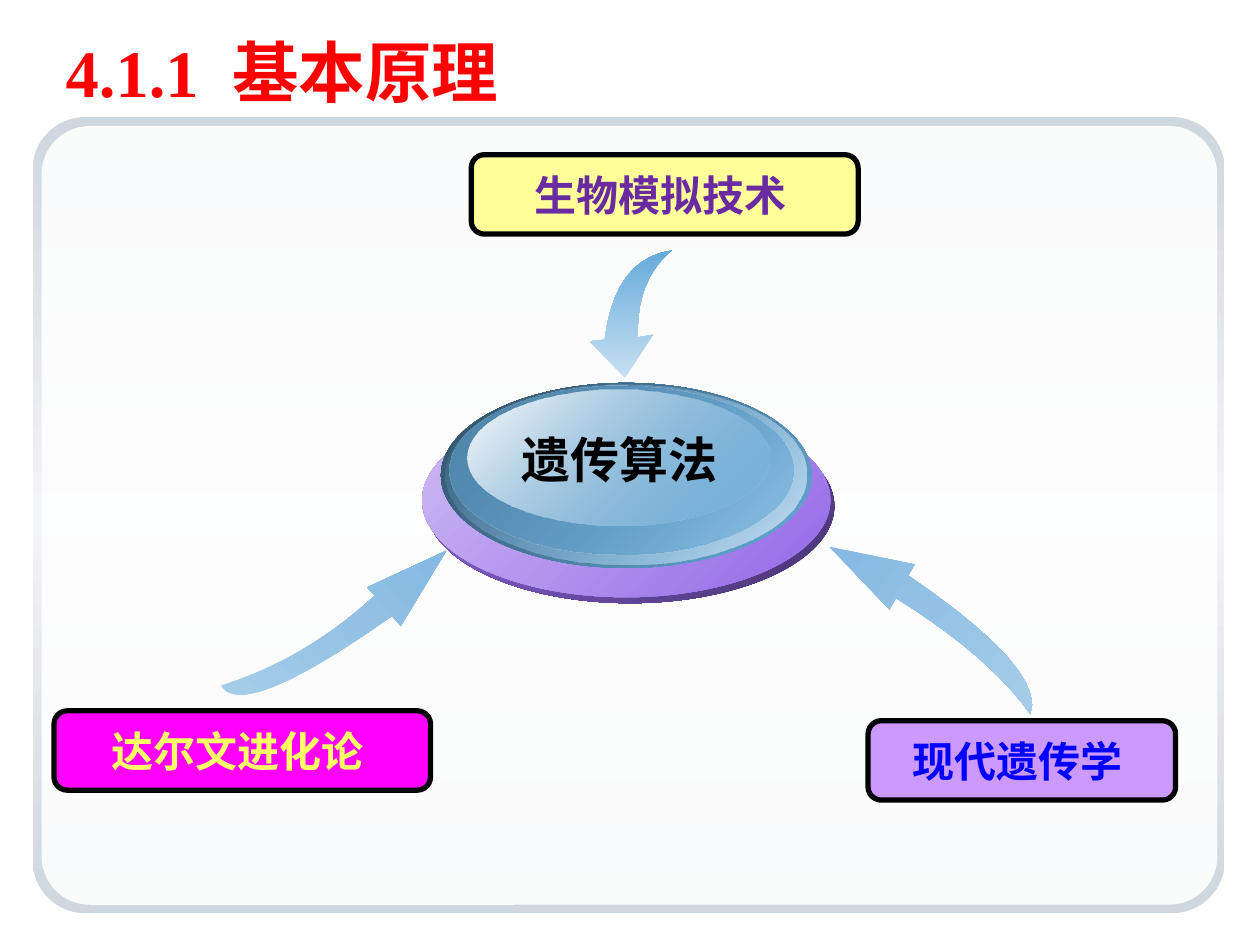
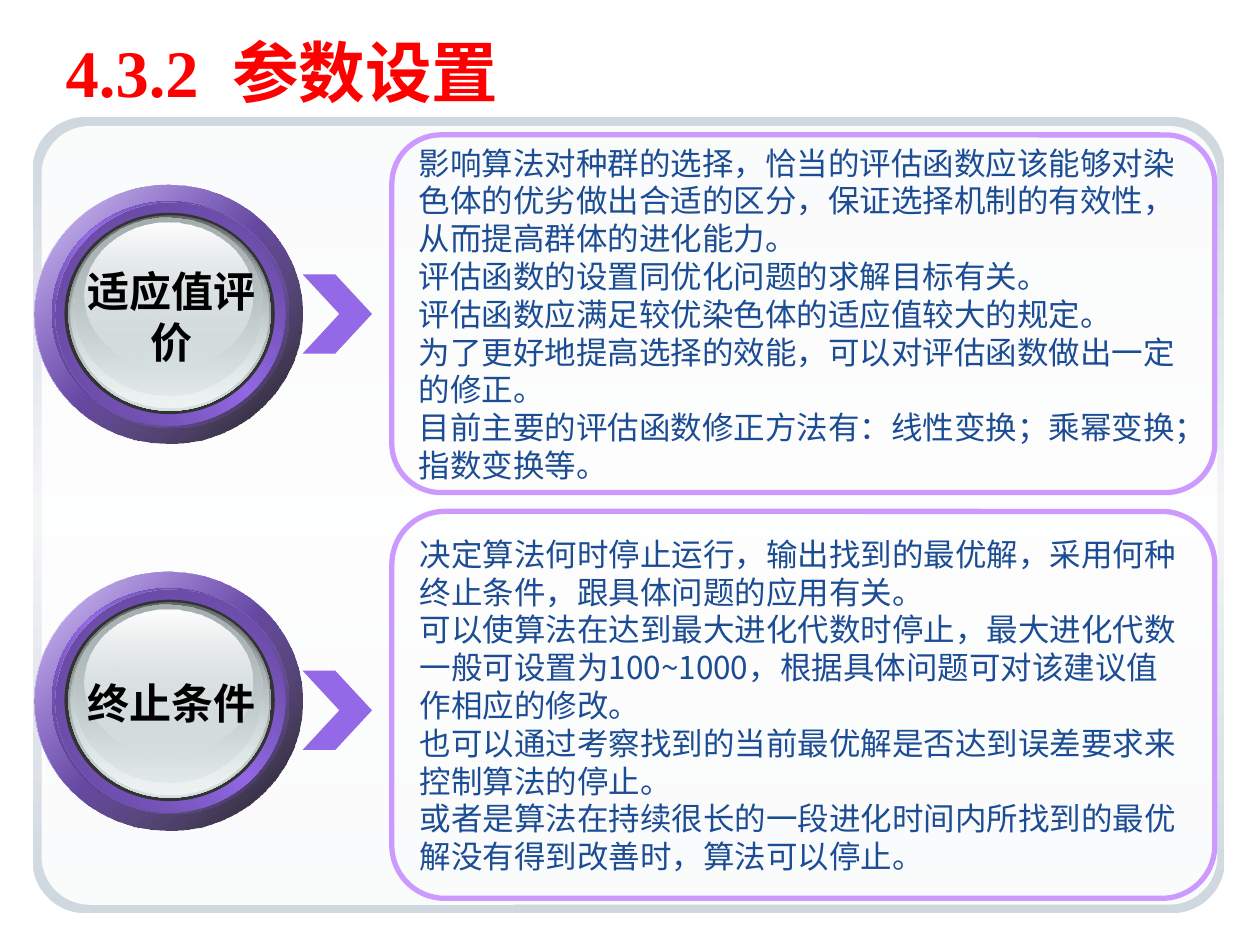
import pptx
import pptx.dml.color
import pptx.enum.shapes
import pptx.enum.text
import pptx.oxml
import pptx.oxml.ns
import pptx.util
from lxml import etree

Cm = pptx.util.Cm
Pt = pptx.util.Pt
RGB = pptx.dml.color.RGBColor
SHAPE = pptx.enum.shapes.MSO_SHAPE
ALIGN = pptx.enum.text.PP_ALIGN
ANCHOR = pptx.enum.text.MSO_ANCHOR
qn = pptx.oxml.ns.qn

WHITE = RGB(0xFF, 0xFF, 0xFF)
BLACK = RGB(0x00, 0x00, 0x00)
RED = RGB(0xFF, 0x00, 0x00)
BLUE = RGB(0x00, 0x00, 0xFF)
NAVY = RGB(0x1C, 0x4D, 0x94)
MAGENTA = RGB(0xFF, 0x00, 0xFF)
LEMON = RGB(0xFF, 0xFF, 0x66)
CREAM = RGB(0xFF, 0xFF, 0x99)
LILAC = RGB(0xCC, 0x99, 0xFF)
PLUM = RGB(0x69, 0x2A, 0xA2)
FRAME_EDGE = RGB(0xCF, 0xD7, 0xDF)
FRAME_MIDDLE = RGB(0xF3, 0xF5, 0xF7)
VIOLET = RGB(0x93, 0x69, 0xE7)
VIOLET_PALE = RGB(0xCE, 0xBB, 0xF3)
VIOLET_DEEP = RGB(0x47, 0x32, 0x6F)
VIOLET_DARK = RGB(0x4F, 0x38, 0x7C)
VIOLET_SHADE = RGB(0x5D, 0x42, 0x92)
SKY = RGB(0x66, 0xAB, 0xDA)
SKY_DARK = RGB(0x2F, 0x4E, 0x64)
SKY_SHADE = RGB(0x50, 0x86, 0xAC)
SKY_PALE = RGB(0xC8, 0xE0, 0xF1)
ARROW_HEAD = RGB(0x85, 0xB9, 0xE1)
ARROW_TAIL = RGB(0xA5, 0xCD, 0xE9)
GLOSS = RGB(0xFE, 0xFE, 0xFE)
CHARCOAL = RGB(0x33, 0x33, 0x33)
STEEL = RGB(0x62, 0x67, 0x68)
SILVER_DARK = RGB(0xA8, 0xB1, 0xB2)
SILVER = RGB(0xD6, 0xE1, 0xE2)
SILVER_PALE = RGB(0xEF, 0xF3, 0xF3)

CJK_FONT = "Noto Sans CJK SC"
TITLE_FORMAT = {"name": "Times New Roman", "size": Pt(38), "bold": True}
HUB_FORMAT = {"name": CJK_FONT, "size": Pt(28), "bold": True}
ORB_FORMAT = {"name": CJK_FONT, "size": Pt(24), "bold": True}
LABEL_FORMAT = {"name": "Arial", "size": Pt(24), "bold": True}
BODY_FORMAT = {"name": CJK_FONT, "size": Pt(18), "bold": False}

# Layers: left, top, width, height in cm, angle, then stops (position, colour, opacity)
FRAME_LAYERS = [
    (0, 0, 24.03, 16.05, 90,
     [(0, FRAME_EDGE, 100), (50, FRAME_MIDDLE, 100), (100, FRAME_EDGE, 100)]),
    (0.18, 0.18, 23.7, 15.7, 0, [(0, WHITE, 90)]),
]
HUB_LAYERS = [
    (0.08, 0.53, 8.23, 3.91, 225, [(0, VIOLET_DEEP, 100), (100, VIOLET, 100)]),
    (0, 0.41, 8.23, 3.91, 225, [(0, VIOLET, 100), (100, VIOLET_PALE, 100)]),
    (0.38, 0, 7.47, 3.73, 225, [(0, SKY, 100), (100, SKY_DARK, 100)]),
    (0.48, 0.03, 7.26, 3.63, 225, [(0, SKY_PALE, 100), (100, SKY, 0)]),
    (0.56, 0.05, 6.93, 3.4, 225, [(0, SKY, 48), (100, SKY_SHADE, 100)]),
    (0.91, 0.13, 6.1, 2.74, 225, [(0, SKY, 38), (100, GLOSS, 100)]),
]
ORB_LAYERS = [
    (0, 0, 5.41, 5.21, 225, [(0, GLOSS, 100), (50, VIOLET, 100), (100, GLOSS, 100)]),
    (0, 0, 5.41, 5.21, 225, [(0, BLACK, 90), (100, VIOLET, 32)]),
    (0.36, 0.33, 4.7, 4.52, 135,
     [(0, VIOLET_DARK, 100), (50, VIOLET, 100), (100, VIOLET_DARK, 100)]),
    (0.43, 0.36, 4.7, 4.52, 225, [(0, VIOLET, 0), (100, VIOLET_SHADE, 100)]),
    (0.61, 0.56, 4.24, 4.06, 0, [(0, CHARCOAL, 100)]),
    (0.69, 0.61, 4.09, 3.94, 90, [(0, STEEL, 100), (100, SILVER, 100)]),
    (0.74, 0.64, 3.99, 3.84, 90, [(0, SILVER, 0), (100, SILVER_PALE, 100)]),
    (0.79, 0.66, 3.81, 3.58, 90, [(0, SILVER_DARK, 100), (100, SILVER, 48)]),
    (1.02, 0.76, 3.38, 2.92, 90, [(0, GLOSS, 100), (100, SILVER, 38)]),
]

# Labels: left, top, width in cm, text, fill, text colour
LABELS = [
    (1.09, 14.33, 7.59, "达尔文进化论", MAGENTA, LEMON),
    (17.5, 14.53, 6.2, "现代遗传学", LILAC, BLUE),
    (9.5, 3.12, 7.8, "生物模拟技术", CREAM, PLUM),
]
# Arrows: left, top, angle, (start, end) colours, then points in cm: tail, outer control,
# outer neck, outer barb, tip, inner barb, inner neck, inner control
ARROWS = [
    (16.71, 11.02, 40, (ARROW_HEAD, ARROW_TAIL),
     [(4.06, 3.38), (4.39, 2.49), (1.6, 0.58), (1.73, 0.36),
      (0, 0), (1.22, 1.27), (1.35, 1.04), (3.24, 2.21)]),
    (11.89, 5.05, 270, (SKY_PALE, SKY),
     [(1.65, 0), (0.5, 0.17), (0.3, 1.8), (0, 1.83),
      (0.71, 2.57), (1.27, 1.7), (0.97, 1.75), (0.93, 0.6)]),
    (4.45, 11.1, 320, (ARROW_TAIL, ARROW_HEAD),
     [(0, 2.72), (0.41, 3.47), (3.45, 1.32), (3.63, 1.52),
      (4.55, 0), (2.95, 0.74), (3.1, 0.91), (1.7, 2.2)]),
]
# Settings: orb top, chevron top, panel top, panel height in cm, name, paragraphs
SETTINGS = [
    (3.73, 5.53, 2.72, 7.21, "适应值评价", [
        "影响算法对种群的选择，恰当的评估函数应该能够对染色体的优劣做出合适的区分，"
        "保证选择机制的有效性，从而提高群体的进化能力。",
        "评估函数的设置同优化问题的求解目标有关。",
        "评估函数应满足较优染色体的适应值较大的规定。",
        "为了更好地提高选择的效能，可以对评估函数做出一定的修正。",
        "目前主要的评估函数修正方法有：线性变换；乘幂变换；指数变换等。",
    ]),
    (11.53, 13.52, 10.31, 7.8, "终止条件", [
        "决定算法何时停止运行，输出找到的最优解，采用何种终止条件，"
        "跟具体问题的应用有关。",
        "可以使算法在达到最大进化代数时停止，最大进化代数一般可设置为100~1000，"
        "根据具体问题可对该建议值作相应的修改。",
        "也可以通过考察找到的当前最优解是否达到误差要求来控制算法的停止。",
        "或者是算法在持续很长的一段进化时间内所找到的最优解没有得到改善时，算法可以停止。",
    ]),
]


def paint(shape, stops, angle=0):
    """Fill with one colour or a linear gradient, without line or shadow."""
    shape.shadow.inherit = False
    shape.line.fill.background()
    if len(stops) == 1:
        position, colour, opacity = stops[0]
        shape.fill.solid()
        shape.fill.fore_color.rgb = colour
        element = shape._element.spPr.find(".//" + qn("a:srgbClr"))
        etree.SubElement(element, qn("a:alpha"), val=str(opacity * 1000))
        return
    shape.fill.gradient()
    gradient = shape._element.spPr.find(qn("a:gradFill"))
    stop_list = gradient.find(qn("a:gsLst"))
    for stop in list(stop_list):
        stop_list.remove(stop)
    for position, colour, opacity in stops:
        stop = etree.SubElement(stop_list, qn("a:gs"), pos=str(position * 1000))
        element = etree.SubElement(stop, qn("a:srgbClr"), val=str(colour))
        etree.SubElement(element, qn("a:alpha"), val=str(opacity * 1000))
    gradient.find(qn("a:lin")).set("ang", str(angle * 60000))


def add_preset(slide, kind, left, top, width, height):
    return slide.shapes.add_shape(kind, Cm(left), Cm(top), Cm(width), Cm(height))


def add_layers(slide, kind, left, top, layers):
    shapes = []
    for x, y, width, height, angle, stops in layers:
        shape = add_preset(slide, kind, left + x, top + y, width, height)
        paint(shape, stops, angle)
        shapes.append(shape)
    return shapes


def add_run(paragraph, text, font_format, colour):
    run = paragraph.add_run()
    run.text = text
    for name, value in font_format.items():
        setattr(run.font, name, value)
    run.font.color.rgb = colour
    properties = run._r.get_or_add_rPr()
    latin = properties.find(qn("a:latin"))
    latin.addnext(properties.makeelement(qn("a:ea"), {"typeface": CJK_FONT}))
    return run


def write(frame, texts, font_format, colour, alignment):
    frame.vertical_anchor = ANCHOR.MIDDLE
    for index, text in enumerate(texts):
        paragraph = frame.add_paragraph() if index else frame.paragraphs[0]
        paragraph.alignment = alignment
        add_run(paragraph, text, font_format, colour)


def add_caption(slide, left, top, width, height, text, font_format):
    box = slide.shapes.add_textbox(Cm(left), Cm(top), Cm(width), Cm(height))
    box.text_frame.word_wrap = False
    write(box.text_frame, [text], font_format, BLACK, ALIGN.CENTER)


def add_framed_slide(presentation, number, name):
    """Add a slide with the rounded frame and a red numbered title."""
    slide = presentation.slides.add_slide(presentation.slide_layouts[5])
    frames = add_layers(slide, SHAPE.ROUNDED_RECTANGLE, 0.66, 2.36, FRAME_LAYERS)
    for shape, rounding in zip(frames, (0.066, 0.062)):
        shape.adjustments[0] = rounding
    title = slide.shapes.title
    box = {"left": Cm(1.07), "top": Cm(0.64), "width": Cm(23.7), "height": Cm(1.57)}
    for side, value in box.items():
        setattr(title, side, value)
    title.text_frame.vertical_anchor = ANCHOR.MIDDLE
    paragraph = title.text_frame.paragraphs[0]
    paragraph.alignment = ALIGN.LEFT
    add_run(paragraph, number, TITLE_FORMAT, RED)
    gap = add_run(paragraph, " ", TITLE_FORMAT, RED)
    gap._r.get_or_add_rPr().set("spc", "950")
    add_run(paragraph, name, TITLE_FORMAT, RED)
    return slide


def add_hub(slide, left, top, text):
    add_layers(slide, SHAPE.OVAL, left, top, HUB_LAYERS)
    add_caption(slide, left + 1.71, top + 0.81, 4.55, 1.45, text, HUB_FORMAT)


def add_label(slide, left, top, width, text, fill, colour):
    label = add_preset(slide, SHAPE.ROUNDED_RECTANGLE, left, top, width, 1.6)
    paint(label, [(0, fill, 100)])
    label.line.color.rgb = BLACK
    label.line.width = Pt(3)
    label.text_frame.margin_right = Cm(0.43)
    write(label.text_frame, [text], LABEL_FORMAT, colour, ALIGN.CENTER)


def curve(start, control, end, steps=10):
    """Points of a quadratic curve from start to end."""
    ratios = [step / steps for step in range(steps + 1)]
    return [tuple((1 - t) ** 2 * a + 2 * t * (1 - t) * b + t * t * c
                  for a, b, c in zip(start, control, end)) for t in ratios]


def add_curved_arrow(slide, left, top, angle, colours, points):
    tail, outer, outer_neck, outer_barb, tip, inner_barb, inner_neck, inner = points
    outline = (curve(tail, outer, outer_neck) + [outer_barb, tip, inner_barb]
               + curve(inner_neck, inner, tail))
    vertices = [(Cm(left + x), Cm(top + y)) for x, y in outline]
    builder = slide.shapes.build_freeform(*vertices[0])
    builder.add_line_segments(vertices[1:], close=True)
    start, end = colours
    paint(builder.convert_to_shape(), [(0, start, 100), (100, end, 100)], angle)


def add_orb(slide, left, top, text):
    add_layers(slide, SHAPE.OVAL, left, top, ORB_LAYERS)
    add_caption(slide, left + 0.41, top + 2.01, 4.72, 1.27, text, ORB_FORMAT)


def add_setting(slide, orb_top, chevron_top, panel_top, panel_height, name, texts):
    """Add an orb, a chevron and the panel they point to."""
    chevron = add_preset(slide, SHAPE.CHEVRON, 6.1, chevron_top, 1.4, 1.6)
    chevron.adjustments[0] = 0.53
    paint(chevron, [(0, VIOLET, 100)])
    add_orb(slide, 0.69, orb_top, name)
    panel = add_preset(slide, SHAPE.ROUNDED_RECTANGLE, 7.9, panel_top, 16.59, panel_height)
    panel.adjustments[0] = 0.137
    panel.shadow.inherit = False
    panel.fill.background()
    panel.line.color.rgb = LILAC
    panel.line.width = Pt(3)
    write(panel.text_frame, texts, BODY_FORMAT, NAVY, ALIGN.LEFT)


def build_principle_slide(presentation):
    slide = add_framed_slide(presentation, "4.1.1", "基本原理")
    add_hub(slide, 8.51, 7.72, "遗传算法")
    for label in LABELS:
        add_label(slide, *label)
    for arrow in ARROWS:
        add_curved_arrow(slide, *arrow)


def build_settings_slide(presentation):
    slide = add_framed_slide(presentation, "4.3.2", "参数设置")
    for setting in SETTINGS:
        add_setting(slide, *setting)


def main():
    presentation = pptx.Presentation()
    presentation.slide_width = Cm(25.4)
    presentation.slide_height = Cm(19.05)
    build_principle_slide(presentation)
    build_settings_slide(presentation)
    presentation.save("out.pptx")


if __name__ == "__main__":
    main()
